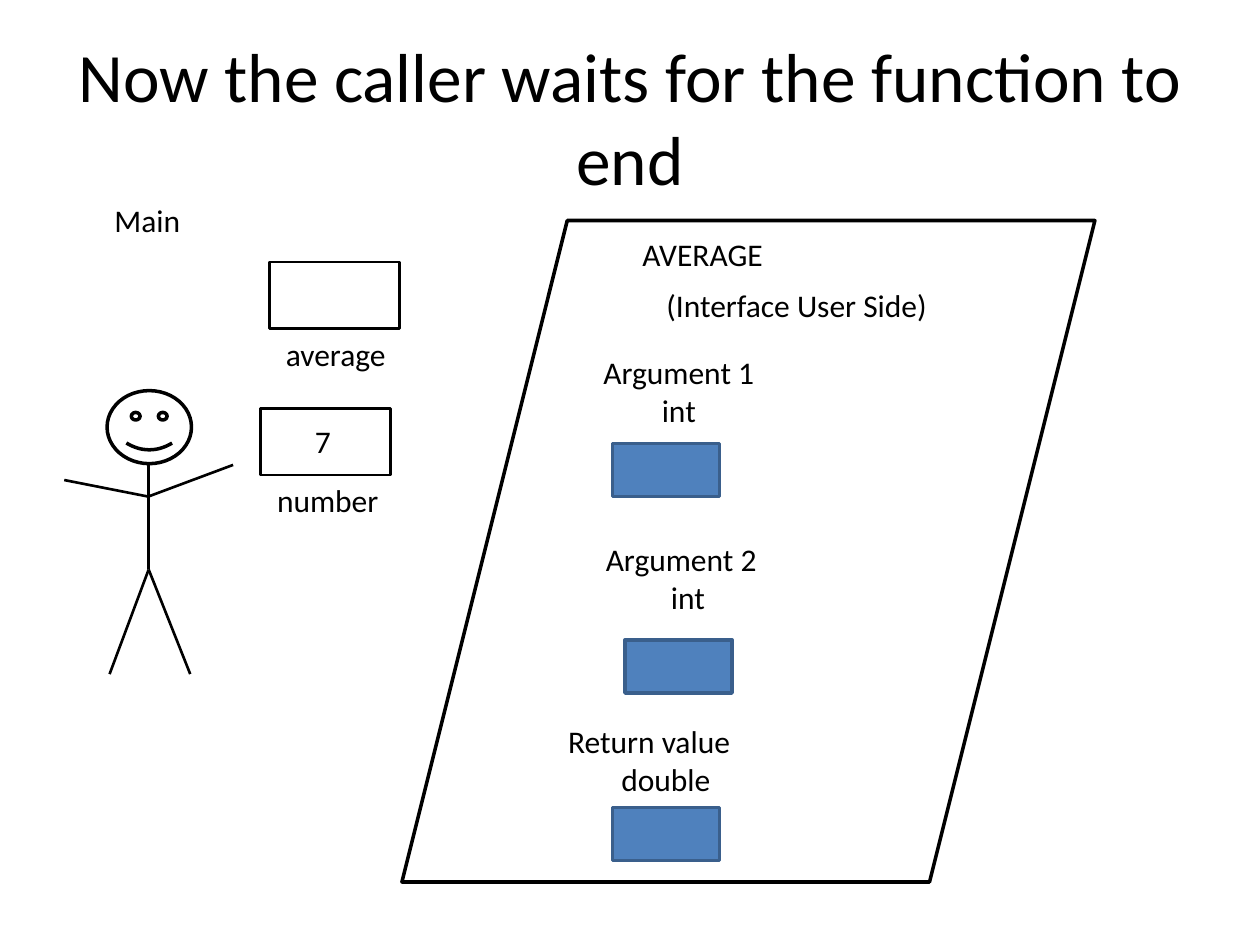
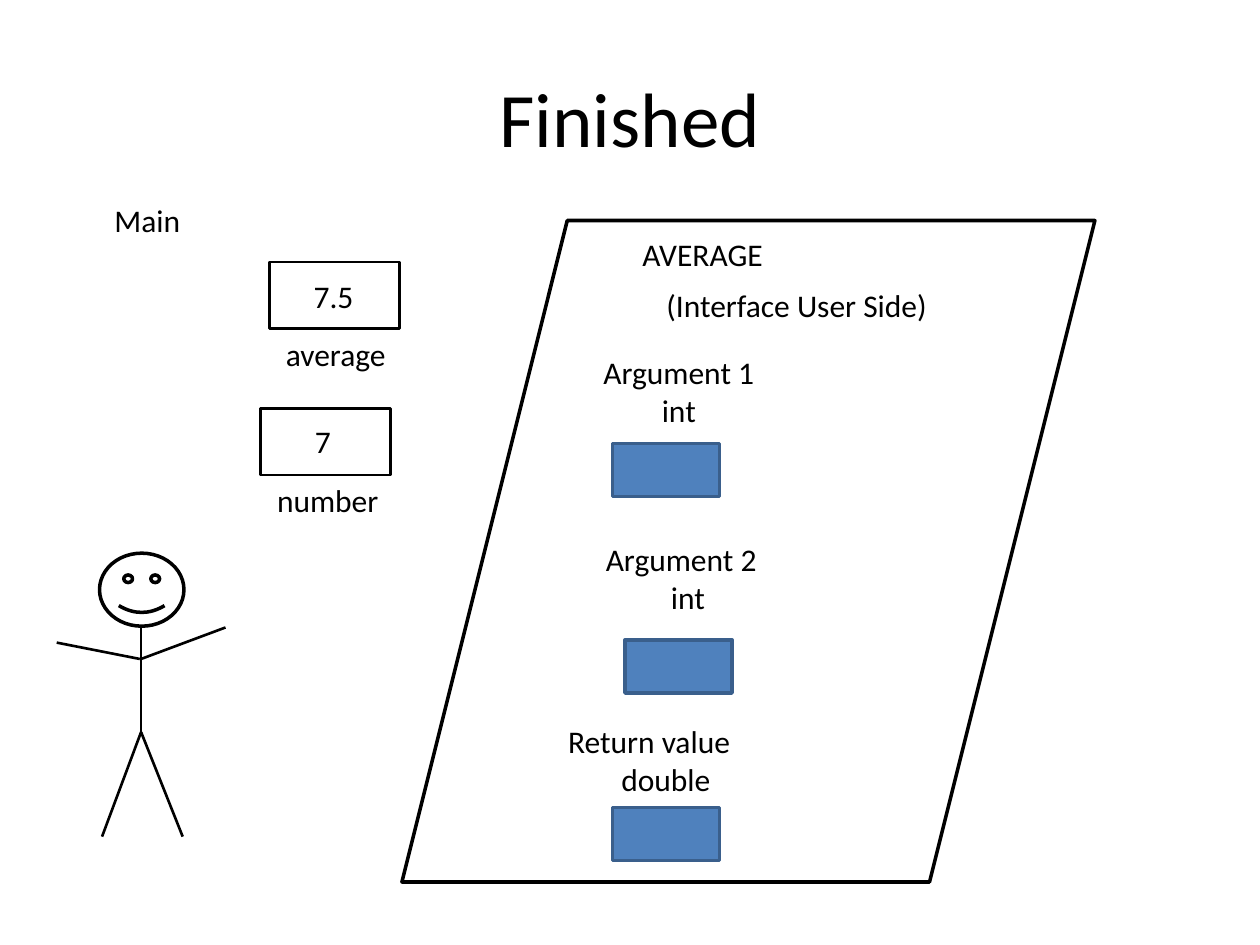
import pptx
import pptx.dml.color
import pptx.enum.shapes
import pptx.enum.text
import pptx.oxml
import pptx.util

Inches = pptx.util.Inches
SHAPES = pptx.enum.shapes.MSO_SHAPE
ALIGN = pptx.enum.text.PP_ALIGN
ANCHOR = pptx.enum.text.MSO_ANCHOR

# Shared look
COLORS = {"ink": "000000", "slot": "4F81BD", "slot_edge": "3A5F8C"}
FONT_NAME = "Calibri"
BODY_SIZE = 18
THIN, THICK = 1.5, 2

# Variables of the caller: name -> (box position, label position, value position)
VARIABLES = {
    "number": ((2.07, 3.24), (2.1, 3.77), (2.4, 3.3)),
    "average": ((2.14, 2.08), (2.17, 2.61), (2.39, 2.15)),
}

# Interface slots: caption, type, caption area, wrap, slot position
SLOTS = [
    ("Argument 1", "int", (4.69, 2.75, 1.41, 0.71), False, (4.86, 3.52)),
    ("Argument 2", "int", (4.71, 4.24, 1.5, 0.71), True, (4.96, 5.08)),
    ("Return value", "double", (4.41, 5.68, 1.75, 0.71), True, (4.86, 6.41)),
]

# Limbs relative to the neck: start and end
LIMBS = [
    ((0, 0), (0, 0.83)),
    ((0, 0.83), (-0.31, 1.66)),
    ((0, 0.83), (0.33, 1.66)),
    ((0, 0.25), (0.67, 0)),
    ((-0.67, 0.12), (-0.01, 0.25)),
]


def color(name):
    return pptx.dml.color.RGBColor.from_string(COLORS[name])


def apply_format(target, values):
    for attribute, value in values.items():
        setattr(target, attribute, value)


def set_line(line, name, width):
    line.color.rgb = color(name)
    line.width = pptx.util.Pt(width)


def add_text(shapes, area, lines, size=BODY_SIZE, aligns=(ALIGN.LEFT,), **frame_format):
    """Add a text box with one paragraph and one alignment for each line."""
    box = shapes.add_textbox(*map(Inches, area))
    frame = box.text_frame
    apply_format(frame, {"word_wrap": True, **frame_format})
    frame.text = "\n".join(lines)
    for paragraph, align in zip(frame.paragraphs, aligns):
        paragraph.alignment = align
        apply_format(paragraph.font, {"name": FONT_NAME, "size": pptx.util.Pt(size)})
        paragraph.font.color.rgb = color("ink")


def add_outline(shapes, kind, area, width, edge="ink", fill=None):
    shape = shapes.add_shape(kind, *map(Inches, area))
    shape.shadow.inherit = False
    if fill:
        shape.fill.solid()
        shape.fill.fore_color.rgb = color(fill)
    else:
        shape.fill.background()
    set_line(shape.line, edge, width)


def add_limb(shapes, start, end):
    limb = shapes.add_connector(
        pptx.enum.shapes.MSO_CONNECTOR.STRAIGHT, *map(Inches, (*start, *end)))
    set_line(limb.line, "ink", THIN)
    properties = limb._element.spPr
    properties.append(properties.makeelement(pptx.oxml.ns.qn("a:effectLst"), {}))


def add_caller(slide, neck_x, neck_y):
    """Draw the stick figure hanging from its neck."""
    shapes = slide.shapes.add_group_shape().shapes
    add_outline(shapes, SHAPES.SMILEY_FACE,
                (neck_x - 0.33, neck_y - 0.59, 0.67, 0.58), THICK)
    for limb in LIMBS:
        add_limb(shapes, *[(neck_x + x, neck_y + y) for x, y in limb])


def add_variable(slide, name, value):
    box, label, value_place = VARIABLES[name]
    add_outline(slide.shapes, SHAPES.RECTANGLE, (*box, 1.03, 0.53), THIN)
    add_text(slide.shapes, (*label, 1.01, 0.4), [name])
    if value:
        add_text(slide.shapes, (*value_place, 0.18 + 0.18 * len(value), 0.4), [value])


def add_interface(slide):
    shapes = slide.shapes.add_group_shape().shapes
    add_outline(shapes, SHAPES.PARALLELOGRAM, (3.19, 1.75, 5.5, 5.25), THICK)
    add_text(shapes, (5, 1.82, 2, 0.4), ["AVERAGE"])
    add_text(shapes, (5.19, 2.22, 2.32, 0.4), ["(Interface User Side)"])
    for caption, kind, area, wrap, slot in SLOTS:
        add_text(shapes, area, [caption, kind],
                 aligns=(ALIGN.LEFT, ALIGN.CENTER), word_wrap=wrap)
        add_outline(shapes, SHAPES.RECTANGLE, (*slot, 0.85, 0.42), THICK,
                    "slot_edge", "slot")


def add_call_slide(presentation, title, title_size, neck, values):
    slide = presentation.slides.add_slide(presentation.slide_layouts[6])
    add_text(slide.shapes, (0.5, 0.3, 9, 1.25), [title], title_size,
             (ALIGN.CENTER,), vertical_anchor=ANCHOR.MIDDLE)
    add_text(slide.shapes, (0.81, 1.55, 0.92, 0.4), ["Main"])
    add_caller(slide, *neck)
    add_interface(slide)
    for name, value in values.items():
        add_variable(slide, name, value)


def main():
    presentation = pptx.Presentation()
    apply_format(presentation, {"slide_width": Inches(10), "slide_height": Inches(7.5)})
    add_call_slide(presentation, "Now the caller waits for the function to end", 39.6,
                   (1.18, 3.69), {"number": "7", "average": ""})
    add_call_slide(presentation, "Finished", 44,
                   (1.12, 4.98), {"number": "7", "average": "7.5"})
    presentation.save("out.pptx")


if __name__ == "__main__":
    main()
